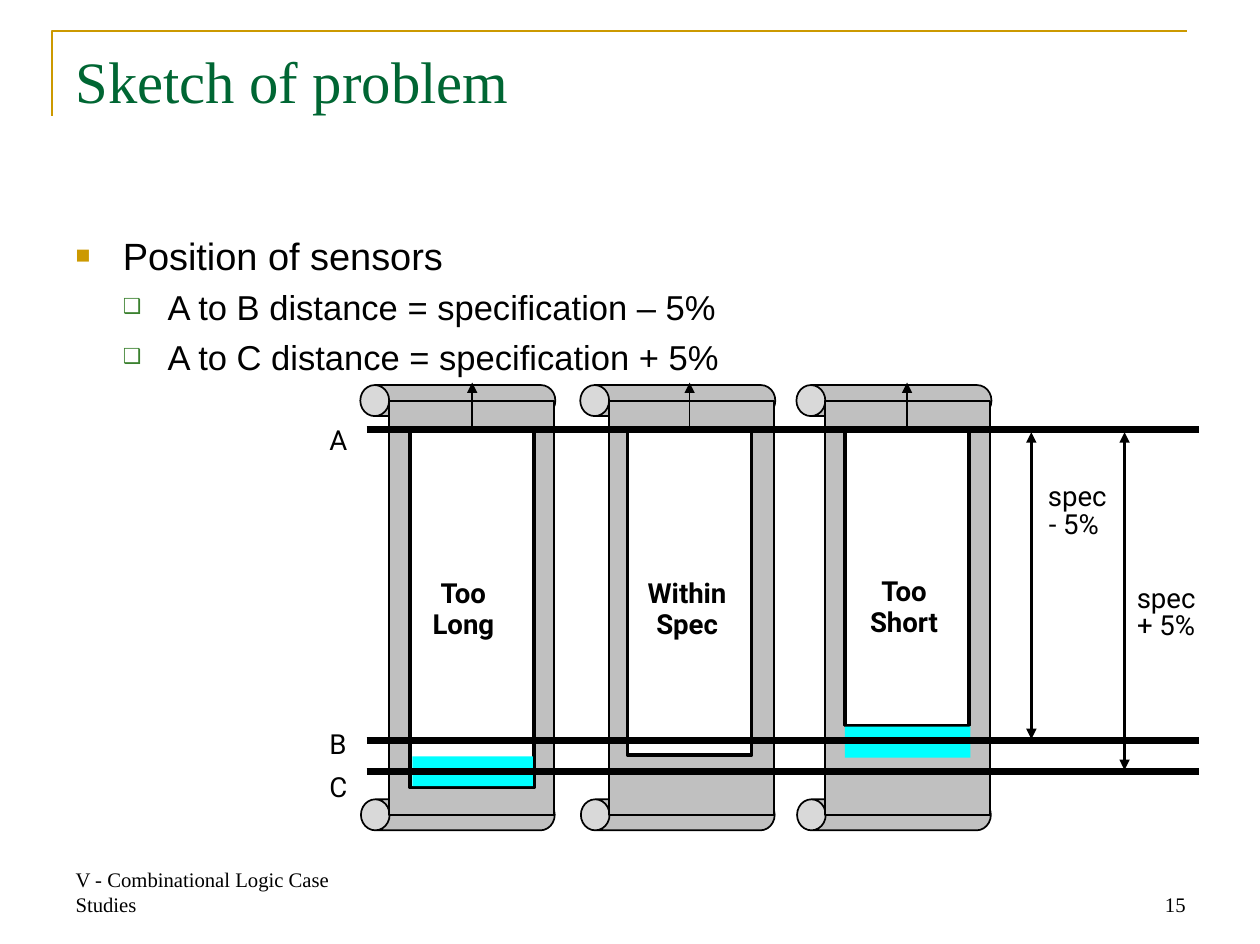
import dataclasses

import lxml.etree
import pptx
import pptx.dml.color
import pptx.enum.shapes
import pptx.enum.text
import pptx.oxml.ns
import pptx.util

PX = 9144
SHAPE = pptx.enum.shapes.MSO_SHAPE
ALIGN = pptx.enum.text.PP_ALIGN
ANCHOR = pptx.enum.text.MSO_ANCHOR


@dataclasses.dataclass(frozen=True)
class Theme:
    black: str = "000000"
    white: str = "FFFFFF"
    gold: str = "CC9900"
    title_green: str = "006633"
    bullet_green: str = "3B812F"
    belt_gray: str = "C0C0C0"
    gap_cyan: str = "00FFFF"
    serif: str = "Times New Roman"
    sans: str = "Arial"
    label: str = "Roboto"
    title_size: int = 34
    body_size: int = 22
    sub_size: int = 20
    label_size: int = 16
    footer_size: int = 12


THEME = Theme()


def px(*lengths):
    return [pptx.util.Emu(length * PX) for length in lengths]


def rgb(color):
    return pptx.dml.color.RGBColor.from_string(color)


def add_element(parent, tag, **attributes):
    element = lxml.etree.SubElement(parent, pptx.oxml.ns.qn(tag))
    for name, value in attributes.items():
        element.set(name, str(value))
    return element


def set_line(line, width, color=THEME.black):
    line.width = pptx.util.Pt(width)
    line.color.rgb = rgb(color)


def add_block(slide, kind, place, fill, line_width=0):
    block = slide.shapes.add_shape(kind, *px(*place))
    block.shadow.inherit = False
    block.fill.solid()
    block.fill.fore_color.rgb = rgb(fill)
    if line_width:
        set_line(block.line, line_width)
    else:
        block.line.fill.background()
    return block


def add_line(slide, start, end, width, ends=()):
    connector = slide.shapes.add_connector(
        pptx.enum.shapes.MSO_CONNECTOR.STRAIGHT, *px(*start, *end))
    set_line(connector.line, width)
    outline = connector.line._get_or_add_ln()
    for tag in ends:
        add_element(outline, tag, type="triangle")
    add_element(connector._element.spPr, "a:effectLst")


def add_run(para, text, font, size, color=THEME.black, bold=False):
    span = para.add_run()
    span.text = text
    span.font.name = font
    span.font.size = pptx.util.Pt(size)
    span.font.bold = bold
    span.font.color.rgb = rgb(color)


def set_frame(box, margins, wrap, anchor=ANCHOR.TOP):
    frame = box.text_frame
    frame.word_wrap = wrap
    frame.vertical_anchor = anchor
    frame.margin_left = frame.margin_right = px(margins[0])[0]
    frame.margin_top = frame.margin_bottom = px(margins[1])[0]
    return frame


def add_text(slide, place, text, size, color=THEME.black,
             align=ALIGN.LEFT, anchor=ANCHOR.TOP):
    box = slide.shapes.add_textbox(*px(*place))
    para = set_frame(box, (10, 5), True, anchor).paragraphs[0]
    para.alignment = align
    add_run(para, text, THEME.serif, size, color)


def write_label(box, lines, spacing, align=ALIGN.CENTER, bold=False):
    para = set_frame(box, (2, 3), False).paragraphs[0]
    para.alignment = align
    para.line_spacing = pptx.util.Pt(spacing)
    for index, line in enumerate(lines):
        if index:
            para.add_line_break()
        add_run(para, line, THEME.label, THEME.label_size, bold=bold)


def add_label(slide, place, lines, align=ALIGN.CENTER):
    write_label(slide.shapes.add_textbox(*px(*place)), lines, 16, align)


def add_frame_rule(slide):
    builder = slide.shapes.build_freeform(42, 93, scale=PX)
    builder.add_line_segments([(42, 25), (955, 25)], close=False)
    rule = builder.convert_to_shape()
    rule.shadow.inherit = False
    rule.fill.background()
    set_line(rule.line, 1.5, THEME.gold)


def add_bullets(slide, place, items):
    frame = set_frame(slide.shapes.add_textbox(*px(*place)), (10, 5), True)
    for index, (text, level) in enumerate(items):
        para = frame.paragraphs[0] if index == 0 else frame.add_paragraph()
        para.level = level
        if index:
            para.space_before = pptx.util.Pt(4.8)
        margin, hanging, mark, color, percent, size = (
            (38, 38, "■", THEME.gold, 65, THEME.body_size),
            (74, 36, "❑", THEME.bullet_green, 60, THEME.sub_size))[level]
        properties = para._p.get_or_add_pPr()
        properties.set("marL", str(margin * PX))
        properties.set("indent", str(-hanging * PX))
        add_element(add_element(properties, "a:buClr"), "a:srgbClr", val=color)
        add_element(properties, "a:buSzPct", val=percent * 1000)
        add_element(properties, "a:buFont", typeface=THEME.sans)
        add_element(properties, "a:buChar", char=mark)
        add_run(para, text, THEME.sans, size)


def add_belt(slide, left):
    for top, length, lid in ((244, 157, 0.93), (578, 156, 0.924)):
        roller = add_block(slide, SHAPE.CAN, (left + 43, top, 25, length),
                           THEME.belt_gray, 1)
        roller.adjustments[0] = lid
        roller.rotation = 270
    add_block(slide, SHAPE.RECTANGLE, (left, 323, 133, 333), THEME.belt_gray, 1)


def add_rod(slide, left, length, label_place, words, gap):
    add_line(slide, (left + 50, 347), (left + 50, 308), 1, ["a:tailEnd"])
    add_block(slide, SHAPE.RECTANGLE, (left, 346, 100, length), THEME.white, 2)
    label = add_block(slide, SHAPE.RECTANGLE, label_place, THEME.white)
    write_label(label, words, 18, bold=True)
    if gap:
        add_block(slide, SHAPE.RECTANGLE, gap, THEME.gap_cyan)


def add_sensors(slide):
    for name, label_top, line_top in (("A", 342, 346), ("B", 587, 596),
                                      ("C", 621, 621)):
        add_label(slide, (263, label_top, 25, 36), [name], ALIGN.LEFT)
        add_line(slide, (295, line_top), (965, line_top), 4)
    for left, bottom, place, words in (
            (830, 595, (837, 387, 60, 58), ["spec", "- 5% "]),
            (905, 620, (905, 469, 67, 58), ["spec", "+ 5%"])):
        add_label(slide, place, words)
        add_line(slide, (left, 348), (left, bottom), 2,
                 ["a:headEnd", "a:tailEnd"])


def main():
    deck = pptx.Presentation()
    deck.slide_width, deck.slide_height = px(1014, 760)
    page = deck.slides.add_slide(deck.slide_layouts[6])
    add_frame_rule(page)
    add_text(page, (51, 692, 237, 51), "V - Combinational Logic Case Studies",
             THEME.footer_size, anchor=ANCHOR.BOTTOM)
    add_text(page, (727, 692, 237, 51), "15", THEME.footer_size,
             align=ALIGN.RIGHT, anchor=ANCHOR.BOTTOM)
    for left in (313, 490, 664):
        add_belt(page, left)
    add_text(page, (51, 31, 912, 126), "Sketch of problem",
             THEME.title_size, THEME.title_green)
    add_bullets(page, (51, 182, 912, 497), [
        ("Position of sensors", 0),
        ("A to B distance = specification – 5%", 1),
        ("A to C distance = specification + 5%", 1)])
    rods = [
        (288, (350, 462, 46, 65), ["Too", "Long"], (332, 609, 97, 24)),
        (262, (526, 462, 54, 65), ["Within", "Spec"], None),
        (238, (703, 461, 49, 65), ["Too", "Short"], (680, 585, 101, 25))]
    for index, rod in enumerate(rods):
        add_rod(page, 330 + 175 * index, *rod)
    add_sensors(page)
    deck.save("out.pptx")


if __name__ == "__main__":
    main()
